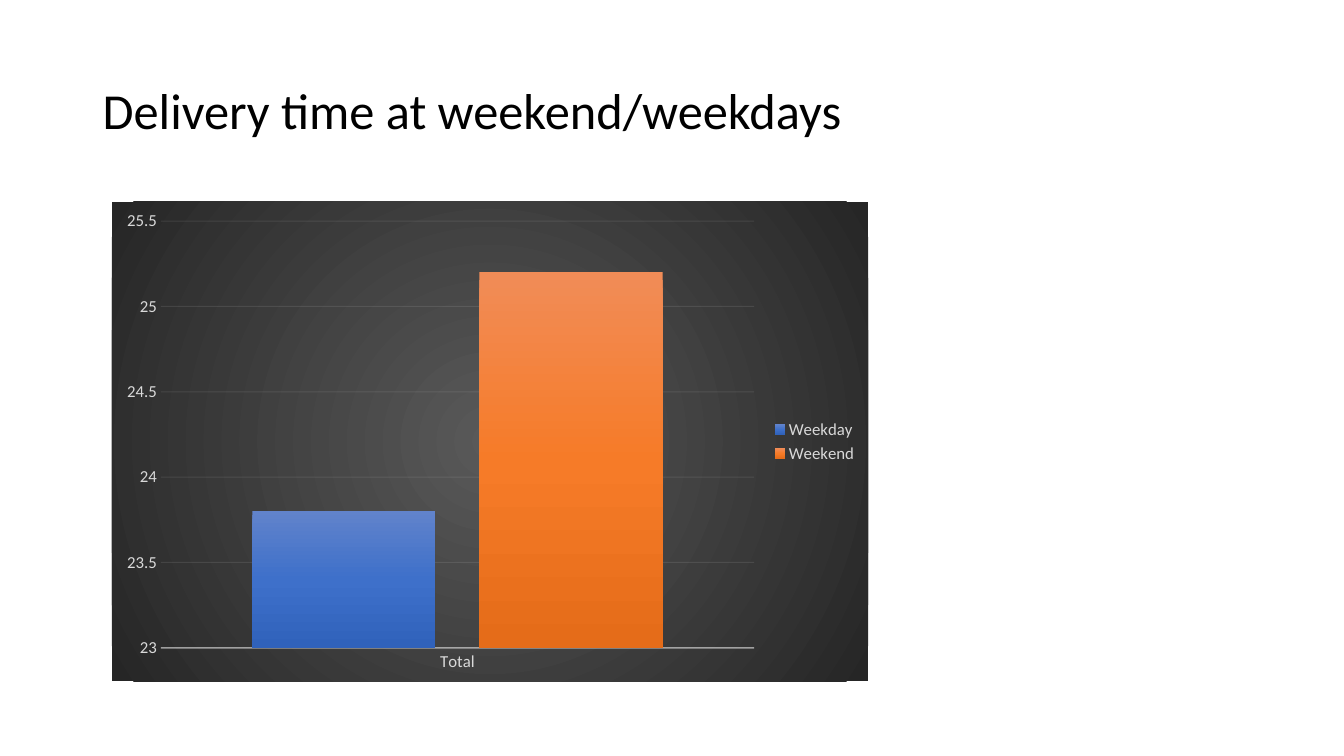
from dataclasses import dataclass

from pptx import Presentation
from pptx.chart.data import CategoryChartData
from pptx.dml.color import RGBColor
from pptx.enum.chart import XL_CHART_TYPE as ChartType
from pptx.enum.chart import XL_LEGEND_POSITION as LegendPos
from pptx.enum.chart import XL_TICK_MARK as TickMark
from pptx.enum.text import MSO_ANCHOR as Anchor
from pptx.oxml import parse_xml
from pptx.oxml.ns import nsdecls
from pptx.util import Inches, Pt


@dataclass(frozen=True)
class Theme:
    font: str = "Calibri"
    title_size: int = 36
    label_size: int = 12
    title: str = "000000"
    label: str = "D9D9D9"
    line: str = "F2F2F2"
    backdrop: tuple = ((0, "595959"), (100, "262626"))
    weekday: tuple = ((0, "6183CB"), (50, "3E70CA"), (100, "3062BB"))
    weekend: tuple = ((0, "F18C57"), (50, "F67B28"), (100, "E56C19"))


THEME = Theme()
LINEAR = '<a:lin ang="5400000" scaled="0"/>'
RADIAL = (
    '<a:path path="circle">'
    '<a:fillToRect l="50000" t="50000" r="50000" b="50000"/></a:path>'
)


def style_font(font, size, color):
    font.name = THEME.font
    font.size = Pt(size)
    font.color.rgb = RGBColor.from_string(color)


def gradient(stops, direction):
    marks = "".join(
        f'<a:gs pos="{pos * 1000}"><a:srgbClr val="{color}"/></a:gs>'
        for pos, color in stops
    )
    return parse_xml(
        f'<a:gradFill {nsdecls("a")} rotWithShape="1">'
        f"<a:gsLst>{marks}</a:gsLst>{direction}</a:gradFill>"
    )


def style_line(line, width, colors_path, axis, opacity):
    line.width = Pt(width)
    line.color.rgb = RGBColor.from_string(THEME.line)
    for color in axis._element.xpath(colors_path):
        color.append(parse_xml(f'<a:alpha {nsdecls("a")} val="{opacity * 1000}"/>'))


def style_axis(axis):
    axis.major_tick_mark = axis.minor_tick_mark = TickMark.NONE
    style_font(axis.tick_labels.font, THEME.label_size, THEME.label)


def add_title(slide, text):
    sp = slide.shapes.add_textbox(Inches(0.92), Inches(0.4), Inches(11.5), Inches(1.45))
    tf = sp.text_frame
    tf.word_wrap = True
    tf.vertical_anchor = Anchor.MIDDLE
    tf.text = text
    p = tf.paragraphs[0]
    p.line_spacing = 0.9
    style_font(p.runs[0].font, THEME.title_size, THEME.title)


def add_delivery_chart(slide):
    data = CategoryChartData(number_format="General")
    data.categories = ["Total"]
    data.add_series("Weekday", [23.8])
    data.add_series("Weekend", [25.2])
    chart = slide.shapes.add_chart(
        ChartType.COLUMN_CLUSTERED,
        Inches(1.11), Inches(2), Inches(7.5), Inches(4.76), data,
    ).chart
    chart.has_title = False
    style_font(chart.font, THEME.label_size, THEME.label)

    chart.has_legend = True
    chart.legend.position = LegendPos.RIGHT
    chart.legend.include_in_layout = False
    style_font(chart.legend.font, THEME.label_size, THEME.label)

    plot = chart.plots[0]
    plot.vary_by_categories = False
    plot.gap_width = 100
    plot.overlap = -24
    for series, stops in zip(plot.series, (THEME.weekday, THEME.weekend)):
        series.invert_if_negative = False
        series._element.get_or_add_spPr().append(gradient(stops, LINEAR))

    cat_axis, val_axis = chart.category_axis, chart.value_axis
    for axis in (cat_axis, val_axis):
        style_axis(axis)
    style_line(cat_axis.format.line, 1, "c:spPr//a:srgbClr", cat_axis, 54)

    val_axis.minimum_scale = 23
    val_axis.maximum_scale = 25.5
    val_axis.major_unit = 0.5
    val_axis.format.line.fill.background()
    style_line(
        val_axis.major_gridlines.format.line, 0.75,
        "c:majorGridlines//a:srgbClr", val_axis, 10,
    )

    backdrop = parse_xml(f'<c:spPr {nsdecls("c", "a")}><a:ln><a:noFill/></a:ln></c:spPr>')
    backdrop.insert(0, gradient(THEME.backdrop, RADIAL))
    chart._chartSpace.chart.addnext(backdrop)


def main():
    prs = Presentation()
    prs.slide_width = Inches(13.33)
    prs.slide_height = Inches(7.5)
    slide = prs.slides.add_slide(prs.slide_layouts[6])
    add_title(slide, "Delivery time at weekend/weekdays")
    add_delivery_chart(slide)
    prs.save("out.pptx")


if __name__ == "__main__":
    main()
